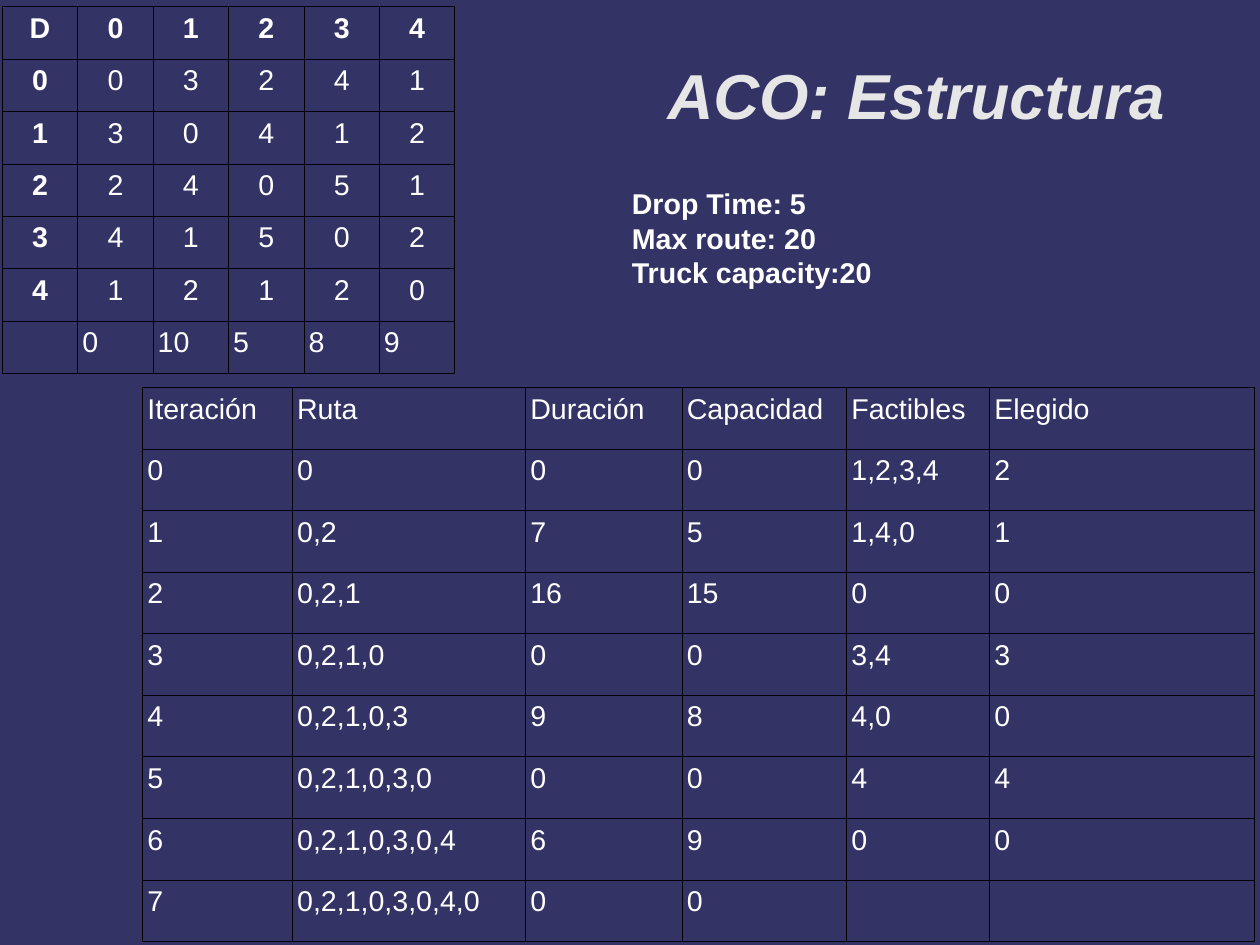
"""Build the ACO structure slide with its distance matrix and route table."""
from lxml import etree
from pptx import Presentation
from pptx.dml.color import RGBColor
from pptx.enum.text import MSO_ANCHOR, PP_ALIGN
from pptx.oxml.ns import qn
from pptx.util import Inches, Pt

CENTER, LEFT = PP_ALIGN.CENTER, PP_ALIGN.LEFT
MIDDLE = MSO_ANCHOR.MIDDLE
FONT = "Arial"
CM_PER_INCH = 2.54
COLORS = {"background": "333366", "title": "E6E6E6", "text": "FFFFFF", "border": "000000"}

DISTANCES = [
    ["D", "0", "1", "2", "3", "4"],
    ["0", "0", "3", "2", "4", "1"],
    ["1", "3", "0", "4", "1", "2"],
    ["2", "2", "4", "0", "5", "1"],
    ["3", "4", "1", "5", "0", "2"],
    ["4", "1", "2", "1", "2", "0"],
    ["", "0", "10", "5", "8", "9"],
]
ROUTES = [
    ["Iteración", "Ruta", "Duración", "Capacidad", "Factibles", "Elegido"],
    ["0", "0", "0", "0", "1,2,3,4", "2"],
    ["1", "0,2", "7", "5", "1,4,0", "1"],
    ["2", "0,2,1", "16", "15", "0", "0"],
    ["3", "0,2,1,0", "0", "0", "3,4", "3"],
    ["4", "0,2,1,0,3", "9", "8", "4,0", "0"],
    ["5", "0,2,1,0,3,0", "0", "0", "4", "4"],
    ["6", "0,2,1,0,3,0,4", "6", "9", "0", "0"],
    ["7", "0,2,1,0,3,0,4,0", "0", "0", "", ""],
]


def rgb(name):
    """Return a named colour."""
    return RGBColor.from_string(COLORS[name])


def write(tf, text, size=18, color="text", bold=False, italic=False, align=LEFT):
    """Fill a text frame and format every run."""
    tf.text = text
    for p in tf.paragraphs:
        p.alignment = align
        for r in p.runs:
            r.font.name, r.font.size = FONT, Pt(size)
            r.font.bold, r.font.italic = bold, italic
            r.font.color.rgb = rgb(color)


def set_margins(target, left, top, right, bottom):
    """Set the inner margins of a cell or a text frame."""
    target.margin_left, target.margin_top = Inches(left), Inches(top)
    target.margin_right, target.margin_bottom = Inches(right), Inches(bottom)


def add_borders(cell):
    """Draw a thin line on all four sides of a cell."""
    tcPr = cell._tc.get_or_add_tcPr()
    for i, side in enumerate(("a:lnL", "a:lnR", "a:lnT", "a:lnB")):
        ln = etree.Element(qn(side), w=str(Pt(0.57)))
        fill = etree.SubElement(ln, qn("a:solidFill"))
        etree.SubElement(fill, qn("a:srgbClr"), val=COLORS["border"])
        tcPr.insert(i, ln)


def add_grid(s, rows, left, top, height, widths, style):
    """Add an unfilled table; style maps a row and column to text options."""
    frame = s.shapes.add_table(len(rows), len(widths), Inches(left), Inches(top),
                               Inches(sum(widths)), Inches(height))
    table = frame.table
    table.first_row = table.horz_banding = False
    for column, width in zip(table.columns, widths):
        column.width = Inches(width)
    for i, values in enumerate(rows):
        table.rows[i].height = Inches(height / len(rows))
        for j, value in enumerate(values):
            cell = table.cell(i, j)
            cell.fill.background()
            set_margins(cell, 0.04, 0.05, 0.04, 0.05)
            add_borders(cell)
            write(cell.text_frame, value, **style(i, j))


def distance_style(i, j):
    """Centre the matrix with bold headers and keep the demand row plain."""
    if i == len(DISTANCES) - 1:
        return {}
    return {"bold": i == 0 or j == 0, "align": CENTER}


def route_style(i, j):
    """Keep every route cell plain."""
    return {}


def add_title(s, text):
    """Place the title in the right half of its wide frame."""
    sp = s.shapes.title
    sp.left, sp.top = Inches(0.81), Inches(0.13)
    sp.width, sp.height = Inches(9.41), Inches(1.38)
    tf = sp.text_frame
    tf.vertical_anchor = MIDDLE
    set_margins(tf, 5, 0, 0, 0)
    write(tf, text, 40, "title", bold=True, italic=True, align=CENTER)


def add_parameters(s, lines):
    """Add the bold list of problem parameters."""
    sp = s.shapes.add_textbox(Inches(5.43), Inches(1.58), Inches(3.78), Inches(0.94))
    tf = sp.text_frame
    tf.word_wrap = True
    write(tf, "\n".join(lines), bold=True)


def main():
    """Build and save the slide."""
    prs = Presentation()
    prs.slide_width = Inches(28 / CM_PER_INCH)
    prs.slide_height = Inches(21 / CM_PER_INCH)
    s = prs.slides.add_slide(prs.slide_layouts[5])
    s.background.fill.solid()
    s.background.fill.fore_color.rgb = rgb("background")
    add_title(s, "ACO: Estructura")
    add_grid(s, DISTANCES, 0.02, 0.06, 3.21, [0.66] * 6, distance_style)
    add_grid(s, ROUTES, 1.25, 3.39, 4.85, [1.31, 2.04, 1.37, 1.44, 1.25, 2.32], route_style)
    add_parameters(s, ["Drop Time: 5", "Max route: 20", "Truck capacity:20"])
    prs.save("out.pptx")


if __name__ == "__main__":
    main()
